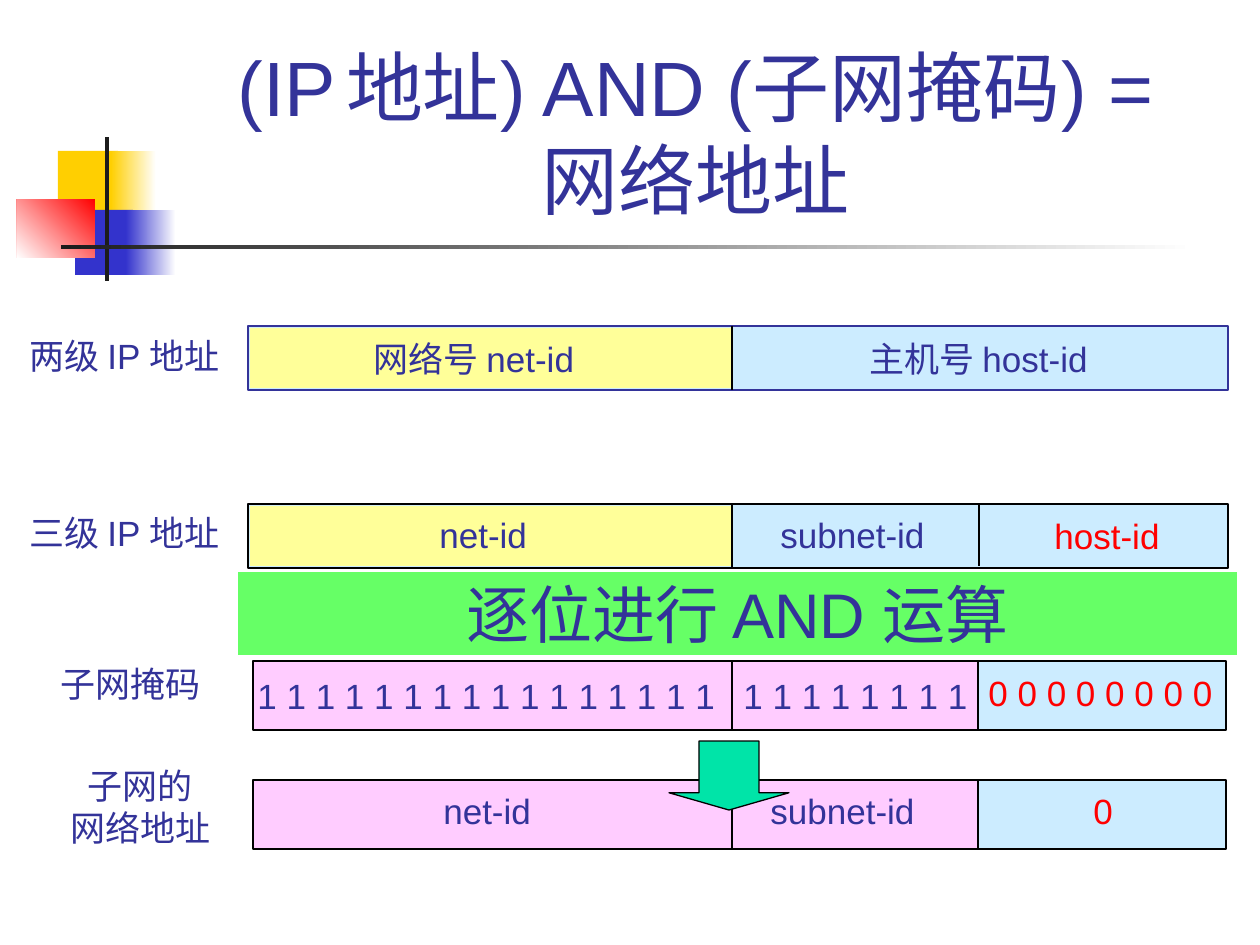
from dataclasses import dataclass
from typing import NamedTuple, Optional

from lxml import etree
from pptx import Presentation
from pptx import util as u
from pptx.dml.color import RGBColor
from pptx.enum import shapes, text
from pptx.oxml import ns

EMU_PER_PX = 914400 / 126


@dataclass(frozen=True)
class Theme:
    font: str = "Arial"
    ink: str = "333399"
    alert: str = "FF0000"
    black: str = "000000"
    white: str = "FFFFFF"
    dark: str = "1C1C1C"
    gold: str = "FFCF01"
    blue: str = "3333CC"
    network: str = "FFFF99"
    host: str = "CCECFF"
    mask: str = "FFCCFF"
    band: str = "66FF66"
    arrow: str = "00E4A8"
    title_size: int = 44
    band_size: int = 36
    body_size: int = 20


T = Theme()


class Box(NamedTuple):
    x: int
    y: int
    w: int
    h: int


class Block(NamedTuple):
    box: Box
    fill: str
    line: Optional[str] = None
    weight: float = 1
    fade: Optional[int] = None


class Label(NamedTuple):
    box: Box
    words: str
    color: str = T.ink
    align: text.PP_ALIGN = text.PP_ALIGN.LEFT


class Rule(NamedTuple):
    x: int
    top: int
    bottom: int


def px(n: int) -> u.Emu:
    return u.Emu(round(n * EMU_PER_PX))


def place(box: Box) -> list:
    return [px(n) for n in box]


def add_run(p, words: str, *, size: int = T.body_size, color: str = T.ink) -> None:
    r = p.add_run()
    r.text = words
    r.font.size = u.Pt(size)
    r.font.name = T.font
    r.font.color.rgb = RGBColor.from_string(color)


def write(tf, words: str, *, size: int = T.body_size, color: str = T.ink,
          align=text.PP_ALIGN.LEFT, anchor=text.MSO_ANCHOR.TOP, wrap: bool = False) -> None:
    tf.word_wrap = wrap
    tf.vertical_anchor = anchor
    for i, line in enumerate(words.split("\n")):
        p = tf.add_paragraph() if i else tf.paragraphs[0]
        p.alignment = align
        add_run(p, line, size=size, color=color)


def draw_block(s, block: Block, kind=shapes.MSO_SHAPE.RECTANGLE):
    sp = s.shapes.add_shape(kind, *place(block.box))
    sp.shadow.inherit = False
    if block.fade is None:
        sp.fill.solid()
        sp.fill.fore_color.rgb = RGBColor.from_string(block.fill)
    else:
        sp.fill.gradient()
        sp.fill.gradient_angle = block.fade
        for stop, color in zip(sp.fill.gradient_stops, (block.fill, T.white)):
            stop.color.rgb = RGBColor.from_string(color)
    if block.line:
        sp.line.color.rgb = RGBColor.from_string(block.line)
        sp.line.width = u.Pt(block.weight)
    else:
        sp.line.fill.background()
    return sp


def draw_rule(s, rule: Rule) -> None:
    sp = s.shapes.add_connector(shapes.MSO_CONNECTOR.STRAIGHT, px(rule.x), px(rule.top),
                                px(rule.x), px(rule.bottom))
    sp.line.color.rgb = RGBColor.from_string(T.black)
    sp.line.width = u.Pt(1)
    etree.SubElement(sp.element.spPr, ns.qn("a:effectLst"))


def draw_label(s, label: Label) -> None:
    tf = s.shapes.add_textbox(*place(label.box)).text_frame
    write(tf, label.words, color=label.color, align=label.align, wrap=True)
    tf.auto_size = text.MSO_AUTO_SIZE.NONE


def draw_title(s) -> None:
    sp = s.shapes.title
    sp.left, sp.top, sp.width, sp.height = place(Box(159, 29, 1073, 202))
    tf = sp.text_frame
    write(tf, "(IP", size=T.title_size, align=text.PP_ALIGN.CENTER,
          anchor=text.MSO_ANCHOR.BOTTOM, wrap=True)
    tf.auto_size = text.MSO_AUTO_SIZE.NONE
    p = tf.paragraphs[0]
    add_run(p, " ")
    add_run(p, "地址) AND (子网掩码) =", size=T.title_size)
    p.add_line_break()
    add_run(p, "网络地址", size=T.title_size)


TWO_LEVEL, THREE_LEVEL, MASK, RESULT = 326, 504, 661, 780
SPLIT, SUBNET_END = 732, 979

ORNAMENT = [
    Block(Box(58, 151, 60, 66), T.gold),
    Block(Box(111, 151, 45, 66), T.gold, fade=0),
    Block(Box(75, 210, 58, 65), T.blue),
    Block(Box(126, 210, 50, 65), T.blue, fade=0),
    Block(Box(17, 199, 78, 59), T.alert, fade=225),
    Block(Box(105, 137, 4, 144), T.dark),
    Block(Box(61, 245, 1134, 4), T.dark, fade=0),
]
ADDRESS_ROWS = [
    block
    for y, line in ((TWO_LEVEL, T.ink), (THREE_LEVEL, T.black))
    for block in (Block(Box(248, y, 980, 64), T.host, line),
                  Block(Box(250, y + 2, 481, 60), T.network))
]
MASK_ROWS = [
    block
    for y in (MASK, RESULT)
    for block in (Block(Box(978, y, 248, 69), T.host, T.black, 0.75),
                  Block(Box(253, y, 725, 69), T.mask, T.black, 0.75))
]
RULES = [
    Rule(SPLIT, TWO_LEVEL, TWO_LEVEL + 64),
    Rule(SPLIT, THREE_LEVEL, THREE_LEVEL + 64),
    Rule(SUBNET_END, THREE_LEVEL, THREE_LEVEL + 62),
    Rule(SPLIT, MASK, MASK + 69),
    Rule(SPLIT, RESULT, RESULT + 69),
]
LABELS = [
    Label(Box(17, 328, 245, 54), "两级 IP 地址"),
    Label(Box(17, 505, 245, 54), "三级 IP 地址"),
    Label(Box(48, 656, 180, 54), "子网掩码"),
    Label(Box(50, 758, 181, 96), "子网的\n网络地址", align=text.PP_ALIGN.CENTER),
    Label(Box(361, 331, 246, 54), "网络号 net-id"),
    Label(Box(857, 331, 264, 54), "主机号 host-id"),
    Label(Box(427, 507, 124, 54), "net-id"),
    Label(Box(768, 507, 181, 54), "subnet-id"),
    Label(Box(1042, 508, 142, 54), "host-id", T.alert),
    Label(Box(245, 668, 495, 54), " ".join("1" * 16)),
    Label(Box(731, 668, 261, 54), " ".join("1" * 8)),
    Label(Box(976, 665, 261, 54), " ".join("0" * 8), T.alert),
    Label(Box(431, 783, 124, 54), "net-id"),
    Label(Box(758, 783, 181, 54), "subnet-id"),
    Label(Box(1081, 783, 56, 54), "0", T.alert),
]


def main() -> None:
    prs = Presentation()
    prs.slide_width, prs.slide_height = px(1260), px(945)
    s = prs.slides.add_slide(prs.slide_layouts[5])
    draw_title(s)
    for block in ORNAMENT + ADDRESS_ROWS + MASK_ROWS:
        draw_block(s, block)
    for rule in RULES:
        draw_rule(s, rule)
    for label in LABELS:
        draw_label(s, label)
    band = draw_block(s, Block(Box(238, 572, 999, 83), T.band))
    write(band.text_frame, "逐位进行 AND 运算", size=T.band_size,
          align=text.PP_ALIGN.CENTER, anchor=text.MSO_ANCHOR.MIDDLE)
    arrow = draw_block(s, Block(Box(669, 741, 120, 69), T.arrow, T.black, 0.75),
                       shapes.MSO_SHAPE.DOWN_ARROW)
    arrow.adjustments[0], arrow.adjustments[1] = 0.5, 0.25
    prs.save("out.pptx")


if __name__ == "__main__":
    main()
